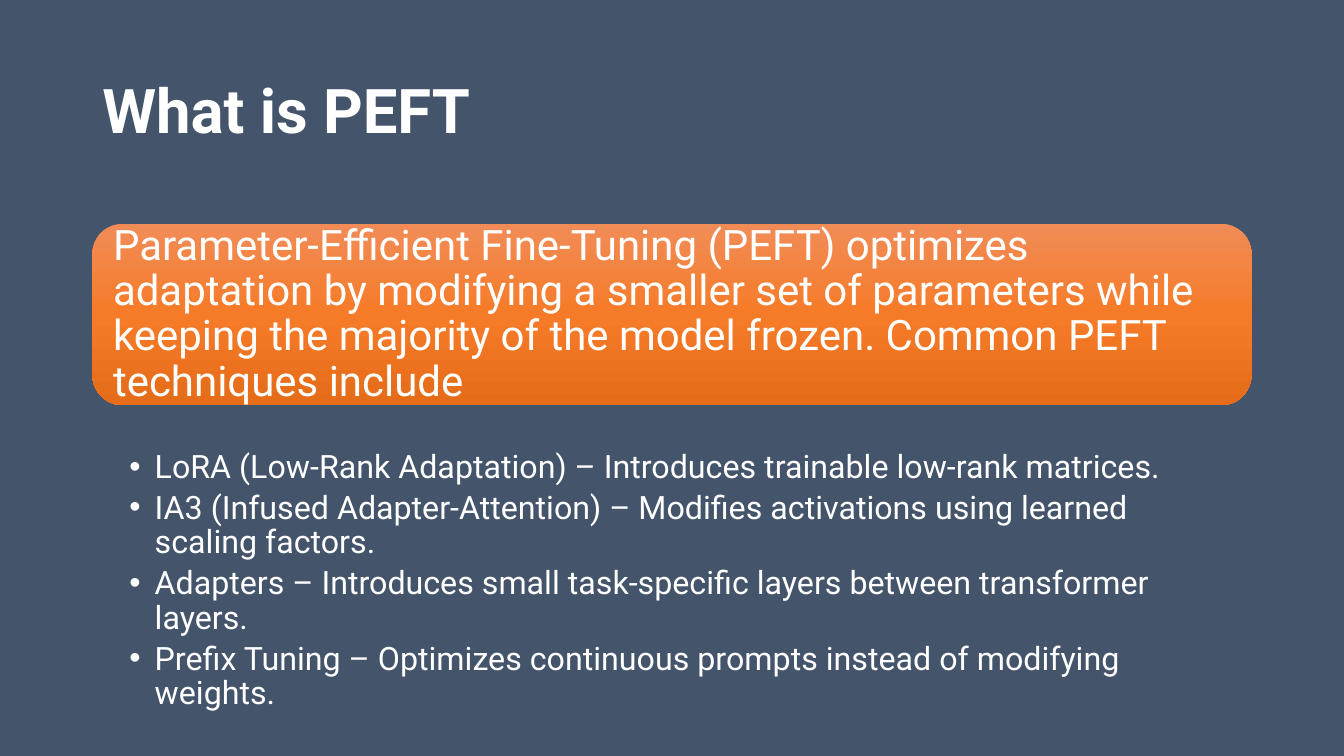
from copy import deepcopy

from lxml import etree
from pptx import Presentation
from pptx.dml.color import RGBColor
from pptx.enum import shapes, text
from pptx.oxml.ns import qn
from pptx.util import Cm, Pt

TITLE = "What is PEFT"
SUMMARY = (
    "Parameter-Efficient Fine-Tuning (PEFT) optimizes adaptation by modifying "
    "a smaller set of parameters while keeping the majority of the model frozen. "
    "Common PEFT techniques include"
)
TECHNIQUES = [
    "LoRA (Low-Rank Adaptation) – Introduces trainable low-rank matrices.",
    "IA3 (Infused Adapter-Attention) – Modifies activations using learned scaling factors.",
    "Adapters – Introduces small task-specific layers between transformer layers.",
    "Prefix Tuning – Optimizes continuous prompts instead of modifying weights.",
]
COLORS = {"background": "44546A", "text": "FFFFFF"}
BANNER_STOPS = [(0, "F18C57"), (0.5, "F67B28"), (1, "E56C19")]
FONT = "Roboto"
LEFT, WIDTH = 2.33, 29.21
BANNER_TOP, BANNER_HEIGHT = 5.64, 4.57
BANNER_PAD = 0.22
BULLET_INDENT = 0.64


def rgb(name):
    return RGBColor.from_string(COLORS[name])


def add_text(slide, box, lines, size, insets, anchor, bold=False, after=0, bullet=False):
    tf = slide.shapes.add_textbox(*map(Cm, box)).text_frame
    tf.word_wrap = True
    tf.vertical_anchor = anchor
    tf.margin_left, tf.margin_top, tf.margin_right, tf.margin_bottom = map(Cm, insets)
    for i, line in enumerate(lines):
        p = tf.paragraphs[0] if i == 0 else tf.add_paragraph()
        p.line_spacing = 0.9
        p.space_after = Pt(after)
        if bullet:
            pPr = p._p.get_or_add_pPr()
            pPr.set("marL", str(Cm(BULLET_INDENT)))
            pPr.set("indent", str(-Cm(BULLET_INDENT)))
            etree.SubElement(pPr, qn("a:buFont")).set("typeface", "Arial")
            etree.SubElement(pPr, qn("a:buChar")).set("char", "•")
        r = p.add_run()
        r.text = line
        r.font.name = FONT
        r.font.size = Pt(size)
        r.font.bold = bold
        r.font.color.rgb = rgb("text")


def add_banner(slide):
    sp = slide.shapes.add_shape(
        shapes.MSO_SHAPE.ROUNDED_RECTANGLE,
        Cm(LEFT), Cm(BANNER_TOP), Cm(WIDTH), Cm(BANNER_HEIGHT),
    )
    sp.shadow.inherit = False
    sp.line.fill.background()
    sp.fill.gradient()
    sp.fill.gradient_angle = 270
    stop_list = sp._element.spPr.find(qn("a:gradFill")).find(qn("a:gsLst"))
    stop_list.append(deepcopy(stop_list[-1]))
    for stop, (position, color) in zip(sp.fill.gradient_stops, BANNER_STOPS):
        stop.position = position
        stop.color.rgb = RGBColor.from_string(color)


def main():
    prs = Presentation()
    prs.slide_width, prs.slide_height = Cm(33.87), Cm(19.05)
    slide = prs.slides.add_slide(prs.slide_layouts[6])
    slide.background.fill.solid()
    slide.background.fill.fore_color.rgb = rgb("background")

    middle, top = text.MSO_ANCHOR.MIDDLE, text.MSO_ANCHOR.TOP
    add_text(slide, (LEFT, 1.01, WIDTH, 3.68), [TITLE], 44,
             (0.25, 0.13, 0.25, 0.13), middle, bold=True)
    add_banner(slide)
    summary_box = (LEFT + BANNER_PAD, BANNER_TOP + BANNER_PAD,
                   WIDTH - 2 * BANNER_PAD, BANNER_HEIGHT - 2 * BANNER_PAD)
    add_text(slide, summary_box, [SUMMARY], 30, (0.3, 0.3, 0.3, 0.3), middle)
    add_text(slide, (LEFT, 11.25, WIDTH, 6.9), TECHNIQUES, 23,
             (0.93, 0.1, 0.58, 0.1), top, after=4.3, bullet=True)

    prs.save("out.pptx")


if __name__ == "__main__":
    main()
